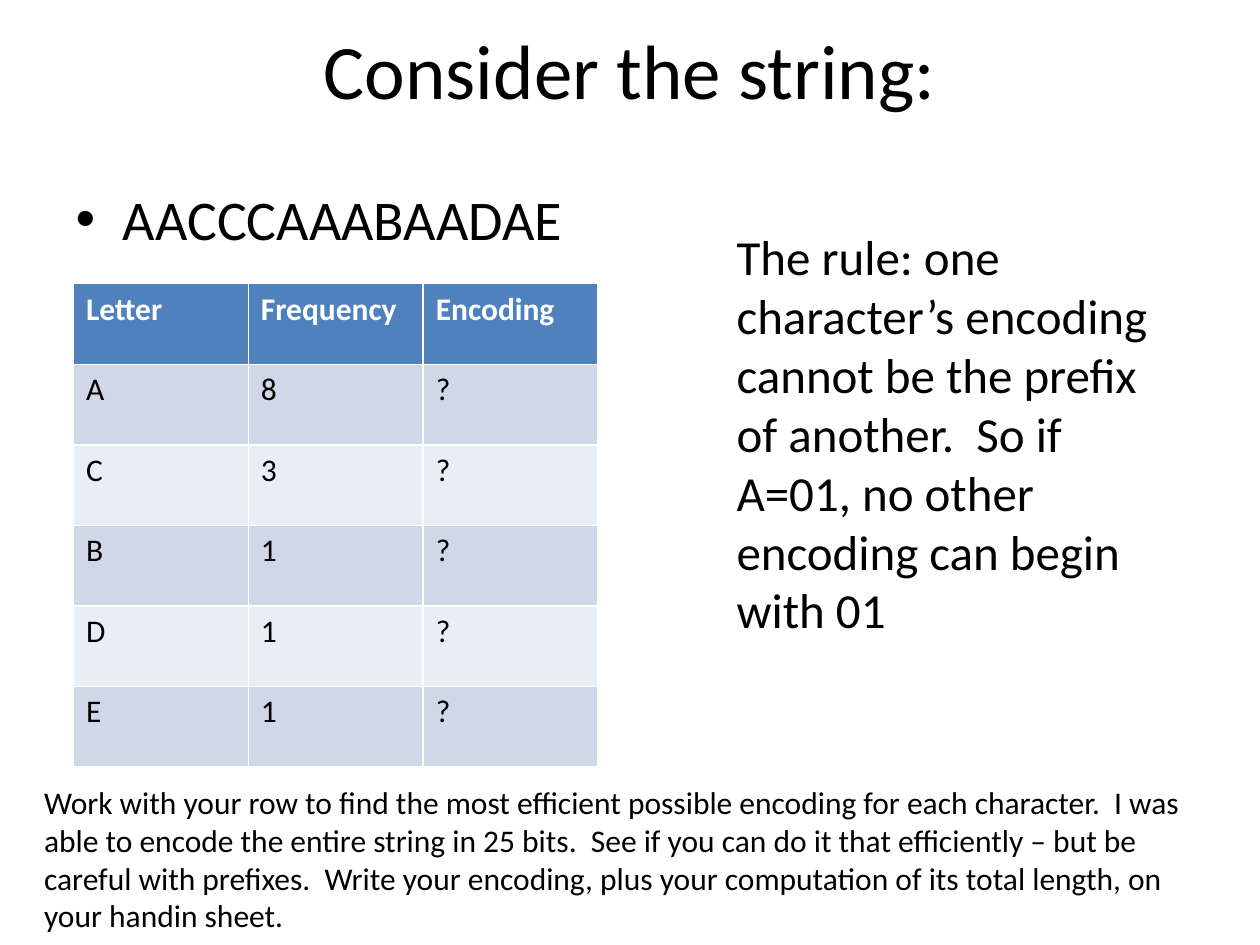
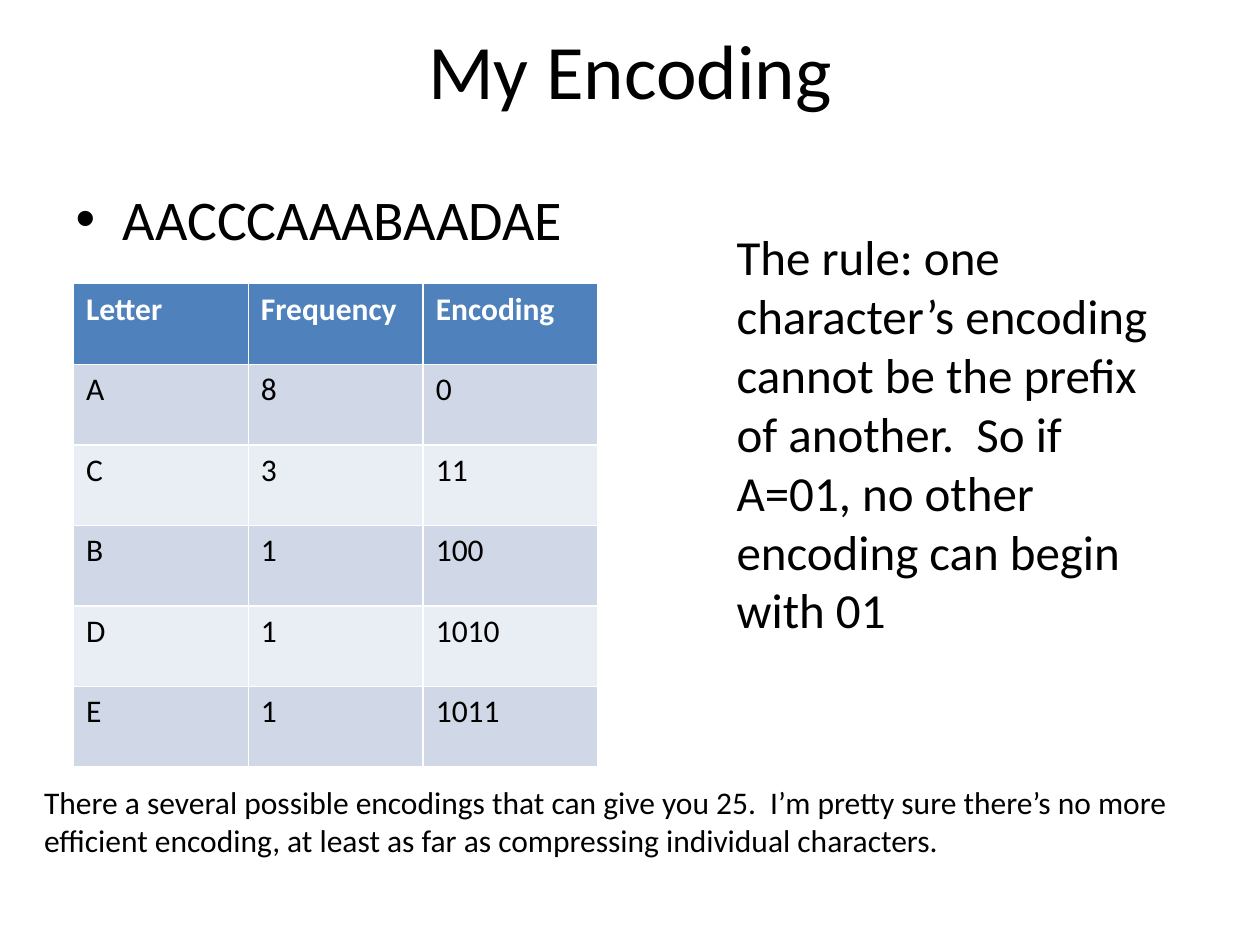
"""Build two slides on prefix-free character encodings."""
from pptx import Presentation
from pptx.dml.color import RGBColor
from pptx.enum.text import MSO_ANCHOR, MSO_AUTO_SIZE, PP_ALIGN
from pptx.util import Cm, Pt

MIDDLE = MSO_ANCHOR.MIDDLE
CENTER = PP_ALIGN.CENTER
GROW = MSO_AUTO_SIZE.SHAPE_TO_FIT_TEXT
TITLE_AND_CONTENT = 1

FONT = "Calibri"
BLACK = RGBColor(0x00, 0x00, 0x00)
WHITE = RGBColor(0xFF, 0xFF, 0xFF)
HEADER_BLUE = RGBColor(0x4F, 0x81, 0xBD)
ROW_BLUES = (RGBColor(0xD0, 0xD8, 0xE8), RGBColor(0xE9, 0xED, 0xF4))

MESSAGE = "AACCCAAABAADAE"
RULE = ("The rule: one character’s encoding cannot be the prefix of another.  "
        "So if A=01, no other encoding can begin with 01")
TASK = ("Work with your row to find the most efficient possible encoding for each "
        "character.  I was able to encode the entire string in 25 bits.  See if you "
        "can do it that efficiently – but be careful with prefixes.  Write your "
        "encoding, plus your computation of its total length, on your handin sheet.")
ANSWER = ("There a several possible encodings that can give you 25.  I’m pretty sure "
          "there’s no more efficient encoding, at least as far as compressing "
          "individual characters.")

HEADINGS = ("Letter", "Frequency", "Encoding")
FREQUENCIES = {"A": "8", "C": "3", "B": "1", "D": "1", "E": "1"}


def style_text(frame, size, color=BLACK, bold=False):
    """Give every paragraph of a text frame the same font."""
    for para in frame.paragraphs:
        para.font.name = FONT
        para.font.size = Pt(size)
        para.font.bold = bold
        para.font.color.rgb = color


def fill_placeholder(box, text, size, top):
    """Move a placeholder to the shared column and write its text."""
    box.left, box.top, box.width, box.height = Cm(1.27), Cm(top), Cm(22.86), Cm(2.33)
    box.text_frame.text = text
    style_text(box.text_frame, size)


def add_text(page, text, size, left, top, width, height):
    """Add a wrapping text box that grows with its text."""
    box = page.shapes.add_textbox(Cm(left), Cm(top), Cm(width), Cm(height))
    frame = box.text_frame
    frame.word_wrap = True
    frame.auto_size = GROW
    frame.text = text
    style_text(frame, size)


def add_code_table(page, codes):
    """Add the table of letters, frequencies and encodings."""
    letters = [(letter, count, code)
               for (letter, count), code in zip(FREQUENCIES.items(), codes)]
    rows = [HEADINGS, *letters]
    table = page.shapes.add_table(len(rows), len(HEADINGS), Cm(1.48), Cm(5.72),
                                  Cm(10.58), Cm(9.74)).table
    for row_index, values in enumerate(rows):
        is_header = row_index == 0
        fill = HEADER_BLUE if is_header else ROW_BLUES[(row_index - 1) % 2]
        for column_index, value in enumerate(values):
            cell = table.cell(row_index, column_index)
            cell.fill.solid()
            cell.fill.fore_color.rgb = fill
            cell.text = value
            style_text(cell.text_frame, 18, WHITE if is_header else BLACK, is_header)


def add_encoding_slide(deck, title, codes, note, note_height):
    """Add one slide with the string, its code table, the rule and a note."""
    page = deck.slides.add_slide(deck.slide_layouts[TITLE_AND_CONTENT])
    heading = page.shapes.title
    fill_placeholder(heading, title, 44, 0.21)
    heading.text_frame.vertical_anchor = MIDDLE
    heading.text_frame.paragraphs[0].alignment = CENTER
    fill_placeholder(page.placeholders[1], MESSAGE, 32, 3.6)
    add_text(page, RULE, 28, 14.6, 4.45, 9.1, 8.64)
    add_code_table(page, codes)
    add_text(page, note, 18, 0.64, 15.66, 24.34, note_height)


def main():
    """Build and save the deck."""
    deck = Presentation()
    deck.slide_width, deck.slide_height = Cm(25.4), Cm(19.05)
    add_encoding_slide(deck, "Consider the string:", "?" * len(FREQUENCIES), TASK, 3.33)
    add_encoding_slide(deck, "My Encoding", ("0", "11", "100", "1010", "1011"),
                       ANSWER, 1.8)
    deck.save("out.pptx")


if __name__ == "__main__":
    main()
